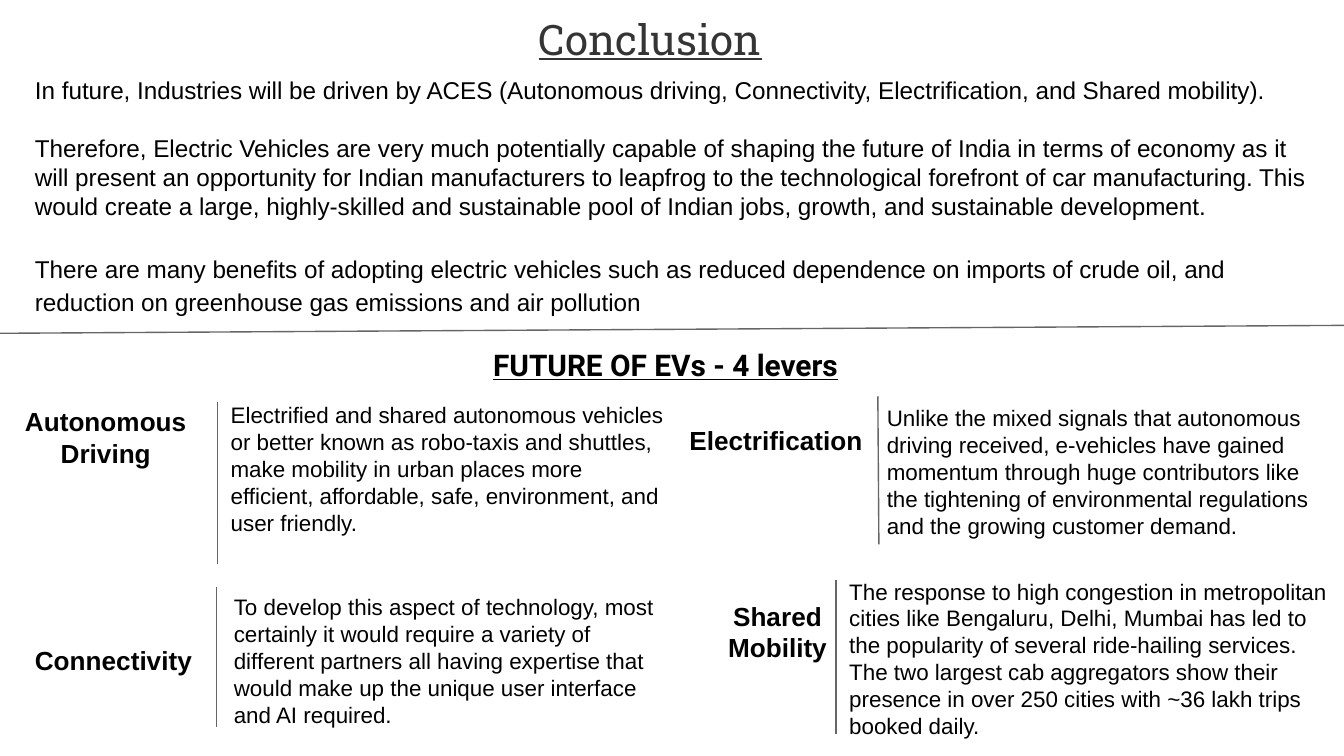
from dataclasses import dataclass

from lxml.etree import SubElement
from pptx import Presentation
from pptx.dml.color import RGBColor
from pptx.enum.shapes import MSO_CONNECTOR
from pptx.enum.text import MSO_ANCHOR, MSO_AUTO_SIZE, PP_ALIGN as Align
from pptx.oxml.ns import qn
from pptx.util import Cm, Pt


@dataclass(frozen=True)
class Theme:
    ink: RGBColor = RGBColor(0x00, 0x00, 0x00)
    title_ink: RGBColor = RGBColor(0x35, 0x35, 0x35)
    rule: RGBColor = RGBColor(0x66, 0x66, 0x66)
    rule_pt: float = 0.75
    font: str = "Arial"
    title_font: str = "Roboto Slab"
    heading_font: str = "Roboto"
    title_pt: float = 22.5
    heading_pt: float = 16
    label_pt: float = 14
    body_pt: float = 13
    detail_pt: float = 12
    inset: float = 0.25


@dataclass(frozen=True)
class Box:
    """Left, top, width and height in centimetres."""
    x: float
    y: float
    w: float
    h: float


@dataclass(frozen=True)
class Line:
    """Start and end points in centimetres."""
    x1: float
    y1: float
    x2: float
    y2: float


@dataclass(frozen=True)
class Lever:
    name: str
    name_box: Box
    align: Align
    divider: Line
    detail: str
    detail_box: Box


THEME = Theme()

INTRO = [
    "In future, Industries will be driven by ACES (Autonomous driving, "
    "Connectivity, Electrification, and Shared mobility).",
    "Therefore, Electric Vehicles are very much potentially capable of shaping "
    "the future of India in terms of economy as it will present an opportunity "
    "for Indian manufacturers to leapfrog to the technological forefront of car "
    "manufacturing. This would create a large, highly-skilled and sustainable "
    "pool of Indian jobs, growth, and sustainable development.",
    "There are many benefits of adopting electric vehicles such as reduced "
    "dependence on imports of crude oil, and reduction on greenhouse gas "
    "emissions and air pollution",
]

LEVERS = [
    Lever("Autonomous\nDriving", Box(0.08, 7.42, 3.84, 2.31), Align.CENTER,
          Line(4.11, 7.59, 4.11, 10.67),
          "Electrified and shared autonomous vehicles or better known as "
          "robo-taxis and shuttles, make mobility in urban places more "
          "efficient, affordable, safe, environment, and user friendly.",
          Box(4.11, 7.34, 8.69, 3.07)),
    Lever("Electrification", Box(12.78, 7.77, 3.84, 1.12), Align.LEFT,
          Line(16.59, 7.49, 16.61, 10.29),
          "Unlike the mixed signals that autonomous driving received, "
          "e-vehicles have gained momentum through huge contributors like the "
          "tightening of environmental regulations and the growing customer "
          "demand.",
          Box(16.51, 7.39, 8.99, 3.07)),
    Lever("Connectivity", Box(0.41, 11.94, 3.84, 1.12), Align.LEFT,
          Line(4.09, 11.1, 4.09, 13.74),
          "To develop this aspect of technology, most certainly it would "
          "require a variety of different partners all having expertise that "
          "would make up the unique user interface and AI required.",
          Box(4.17, 10.97, 8.89, 3.07)),
    Lever("Shared Mobility", Box(13.08, 11.1, 3.23, 1.7), Align.CENTER,
          Line(15.8, 10.97, 15.8, 13.87),
          "The response to high congestion in metropolitan cities like "
          "Bengaluru, Delhi, Mumbai has led to the popularity of several "
          "ride-hailing services. The two largest cab aggregators show their "
          "presence in over 250 cities with ~36 lakh trips booked daily.",
          Box(15.8, 10.67, 9.75, 3.6)),
]


def write(sp, box: Box, text: str, size: float, *, font: str = THEME.font,
          color: RGBColor = THEME.ink, bold: bool = False,
          underline: bool = False, align: Align = Align.LEFT) -> None:
    """Place a text shape, fill it and format all its runs."""
    sp.left, sp.top, sp.width, sp.height = map(Cm, (box.x, box.y, box.w, box.h))
    tf = sp.text_frame
    tf.word_wrap = True
    tf.auto_size = MSO_AUTO_SIZE.NONE
    tf.vertical_anchor = MSO_ANCHOR.TOP
    tf.margin_left = tf.margin_right = Cm(THEME.inset)
    tf.margin_top = tf.margin_bottom = Cm(THEME.inset)
    tf.text = text
    for p in tf.paragraphs:
        p.alignment = align
        p.space_before = Pt(0)
        for r in p.runs:
            f = r.font
            f.name, f.size, f.color.rgb = font, Pt(size), color
            f.bold, f.underline = bold, underline


def add_text(s, box: Box, text: str, size: float, **style) -> None:
    sp = s.shapes.add_textbox(0, 0, 0, 0)
    write(sp, box, text, size, **style)


def add_rule(s, line: Line) -> None:
    c = s.shapes.add_connector(MSO_CONNECTOR.STRAIGHT, Cm(line.x1), Cm(line.y1),
                               Cm(line.x2), Cm(line.y2))
    c.line.color.rgb = THEME.rule
    c.line.width = Pt(THEME.rule_pt)
    SubElement(c.element.spPr, qn("a:effectLst"))


def add_intro(sp) -> None:
    """Body paragraphs without bullets, one line apart."""
    write(sp, Box(0.41, 1.17, 24.64, 6.32), "\n".join(INTRO), THEME.body_pt)
    paragraphs = sp.text_frame.paragraphs
    for p in paragraphs:
        pPr = p._p.get_or_add_pPr()
        pPr.set("marL", "0")
        pPr.set("indent", "0")
        SubElement(pPr, qn("a:buNone"))
    for p in paragraphs[1:]:
        p.space_before = Pt(15.5)
    paragraphs[-1].line_spacing = 1.15


def add_lever(s, lever: Lever) -> None:
    add_text(s, lever.name_box, lever.name, THEME.label_pt, bold=True,
             align=lever.align)
    add_rule(s, lever.divider)
    add_text(s, lever.detail_box, lever.detail, THEME.detail_pt)


def main() -> None:
    prs = Presentation()
    prs.slide_width, prs.slide_height = Cm(25.4), Cm(14.29)
    s = prs.slides.add_slide(prs.slide_layouts[1])

    # Title and conclusion
    write(s.shapes.title, Box(9.93, 0, 5.54, 1.07), "Conclusion", THEME.title_pt,
          font=THEME.title_font, color=THEME.title_ink, underline=True)
    add_intro(s.placeholders[1])

    # Divider and heading of the lower half
    add_rule(s, Line(0, 6.3, 25.4, 6.15))
    add_text(s, Box(9.07, 6.3, 7.26, 1.19), "FUTURE OF EVs - 4 levers",
             THEME.heading_pt, font=THEME.heading_font, bold=True, underline=True)

    # The four levers
    for lever in LEVERS:
        add_lever(s, lever)

    prs.save("out.pptx")


if __name__ == "__main__":
    main()
